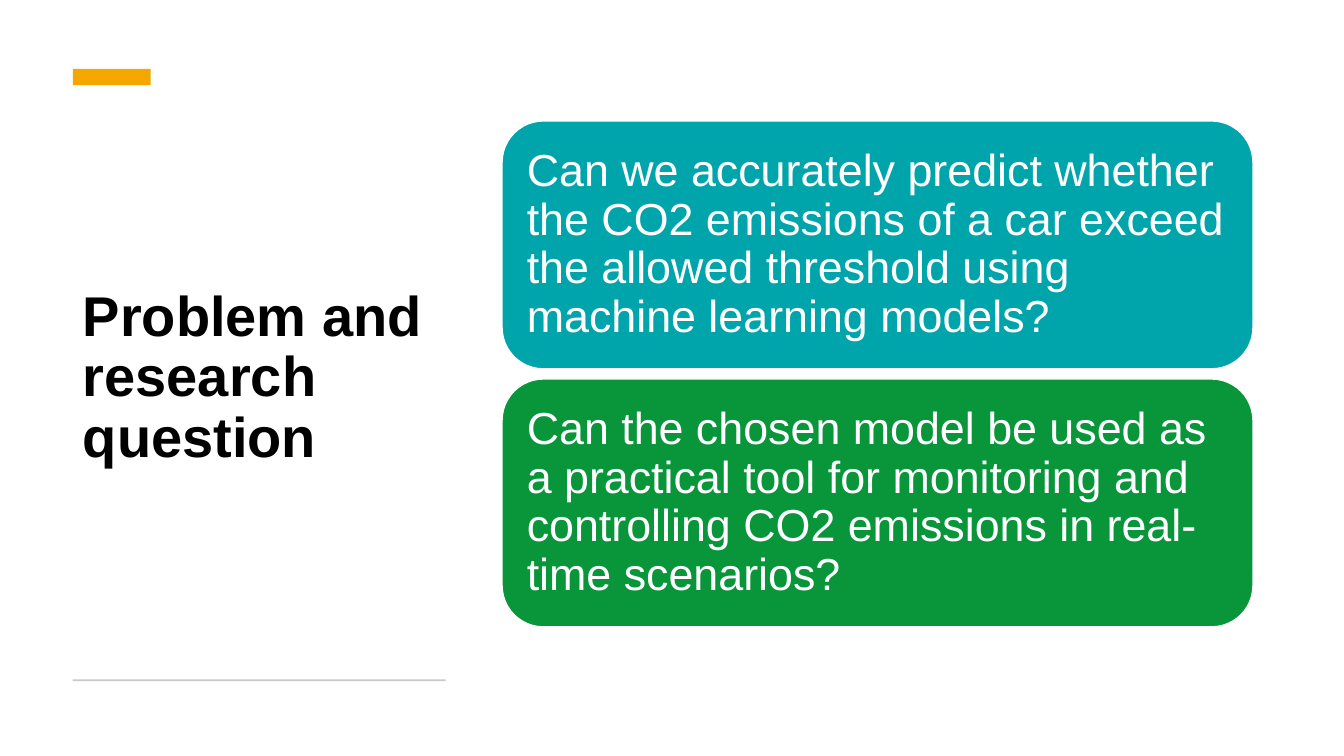
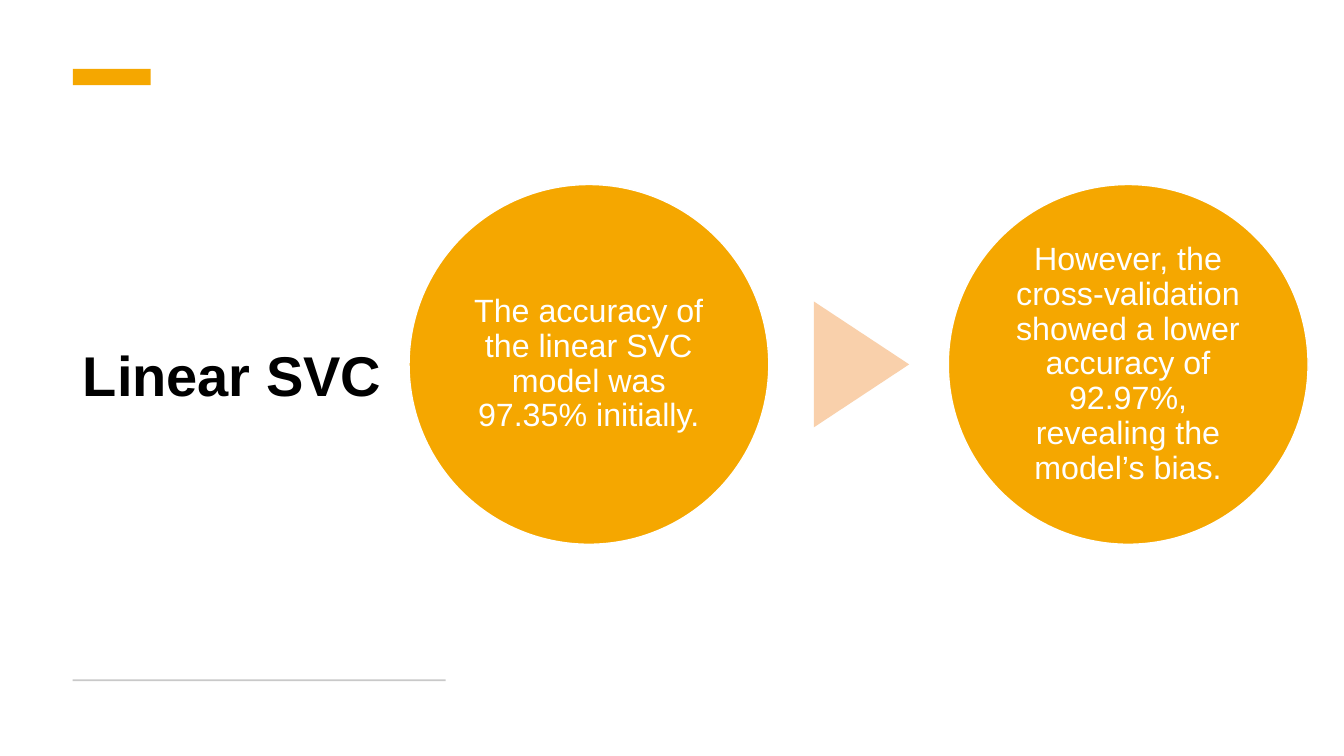
from dataclasses import dataclass
from pptx import Presentation
from pptx.dml.color import RGBColor
from pptx.enum.shapes import MSO_SHAPE as Preset
from pptx.enum.text import MSO_ANCHOR as Anchor, MSO_AUTO_SIZE as AutoSize, PP_ALIGN as Align
from pptx.util import Pt


@dataclass(frozen=True)
class Theme:
    """Colours, font and type sizes shared by the slides."""
    font: str = "Arial"
    title_size: float = 40
    question_size: float = 32
    finding_size: float = 23
    line_spacing: float = 0.9
    ink: str = "000000"
    paper: str = "FFFFFF"
    amber: str = "F5A700"
    peach: str = "F9D0AB"
    teal: str = "00A5AB"
    green: str = "09963B"
    grey: str = "C9C9C9"


@dataclass(frozen=True)
class Box:
    """A region of the slide in points."""
    left: float
    top: float
    width: float
    height: float

    def lengths(self):
        """Return the four lengths in the order that shapes take them."""
        return [Pt(v) for v in (self.left, self.top, self.width, self.height)]


THEME = Theme()
SIDEBAR = Box(52, 49.2, 266.4, 437.4)
QUESTIONS = Box(358.6, 86.4, 536.4, 361.4)
FINDINGS = Box(292.2, 131.8, 642.2, 257)


def add_figure(slide, preset, box, fill, outline=None):
    """Add a flat preset shape."""
    figure = slide.shapes.add_shape(preset, *box.lengths())
    figure.shadow.inherit = False
    figure.fill.solid()
    figure.fill.fore_color.rgb = RGBColor.from_string(fill)
    if outline:
        figure.line.color.rgb = RGBColor.from_string(outline)
        figure.line.width = Pt(1)
    else:
        figure.line.fill.background()
    return figure


def write(figure, wording, size, color, align=Align.LEFT, inset=None, bold=False):
    """Fill a shape with one paragraph, centred vertically."""
    frame = figure.text_frame
    frame.text = wording
    frame.word_wrap = True
    frame.auto_size = AutoSize.NONE
    frame.vertical_anchor = Anchor.MIDDLE
    if inset is not None:
        frame.margin_left = frame.margin_right = Pt(inset)
        frame.margin_top = frame.margin_bottom = Pt(inset)
    paragraph = frame.paragraphs[0]
    paragraph.alignment = align
    paragraph.line_spacing = THEME.line_spacing
    for run in paragraph.runs:
        run.font.name = THEME.font
        run.font.size = Pt(size)
        run.font.bold = bold
        run.font.color.rgb = RGBColor.from_string(color)


def add_sidebar(slide, box, heading):
    """Place the title between the accent bar and the bottom rule."""
    title = slide.shapes.title
    title_box = Box(box.left, box.top + 26.4, box.width, 389.5)
    title.left, title.top, title.width, title.height = title_box.lengths()
    write(title, heading, THEME.title_size, THEME.ink, bold=True)
    add_figure(slide, Preset.RECTANGLE, Box(box.left, box.top, 55.6, 11.6), THEME.amber)
    rule_height = 1.4
    rule = Box(box.left, box.top + box.height - rule_height, box.width, rule_height)
    add_figure(slide, Preset.RECTANGLE, rule, THEME.grey)


def add_questions(slide, box, questions, gap=7.2):
    """Stack one rounded card per question."""
    height = (box.height - gap * (len(questions) - 1)) / len(questions)
    for row, (question, fill) in enumerate(questions):
        card_box = Box(box.left, box.top + row * (height + gap), box.width, height)
        card = add_figure(slide, Preset.ROUNDED_RECTANGLE, card_box, fill, THEME.paper)
        write(card, question, THEME.question_size, THEME.paper, inset=9)


def add_findings(slide, box, findings):
    """Set circles in a row with an arrowhead between neighbours."""
    diameter = box.height
    step = (box.width - diameter) / (len(findings) - 1)
    arrow_width, arrow_depth = diameter * 0.35, diameter * 0.265
    for column, finding in enumerate(findings):
        left = box.left + column * step
        if column:
            center = left - step + diameter * 1.125 + arrow_depth / 2
            arrow_box = Box(center - arrow_width / 2,
                            box.top + (diameter - arrow_depth) / 2,
                            arrow_width, arrow_depth)
            arrow = add_figure(slide, Preset.ISOSCELES_TRIANGLE, arrow_box, THEME.peach)
            arrow.rotation = 90
        circle_box = Box(left, box.top, diameter, diameter)
        circle = add_figure(slide, Preset.OVAL, circle_box, THEME.amber, THEME.paper)
        write(circle, finding, THEME.finding_size, THEME.paper, Align.CENTER, inset=2.2)


def add_slide(deck, heading):
    """Add a title-only slide with the shared sidebar."""
    slide = deck.slides.add_slide(deck.slide_layouts[5])
    add_sidebar(slide, SIDEBAR, heading)
    return slide


def main():
    """Build and save the deck."""
    deck = Presentation()
    deck.slide_width, deck.slide_height = Pt(960), Pt(540)
    add_questions(add_slide(deck, "Problem and research question"), QUESTIONS, [
        ("Can we accurately predict whether the CO2 emissions of a car exceed "
         "the allowed threshold using machine learning models?", THEME.teal),
        ("Can the chosen model be used as a practical tool for monitoring and "
         "controlling CO2 emissions in real-time scenarios?", THEME.green),
    ])
    add_findings(add_slide(deck, "Linear SVC"), FINDINGS, [
        "The accuracy of the linear SVC model was 97.35% initially.",
        "However, the cross-validation showed a lower accuracy of 92.97%, "
        "revealing the model’s bias.",
    ])
    deck.save("out.pptx")


if __name__ == "__main__":
    main()
